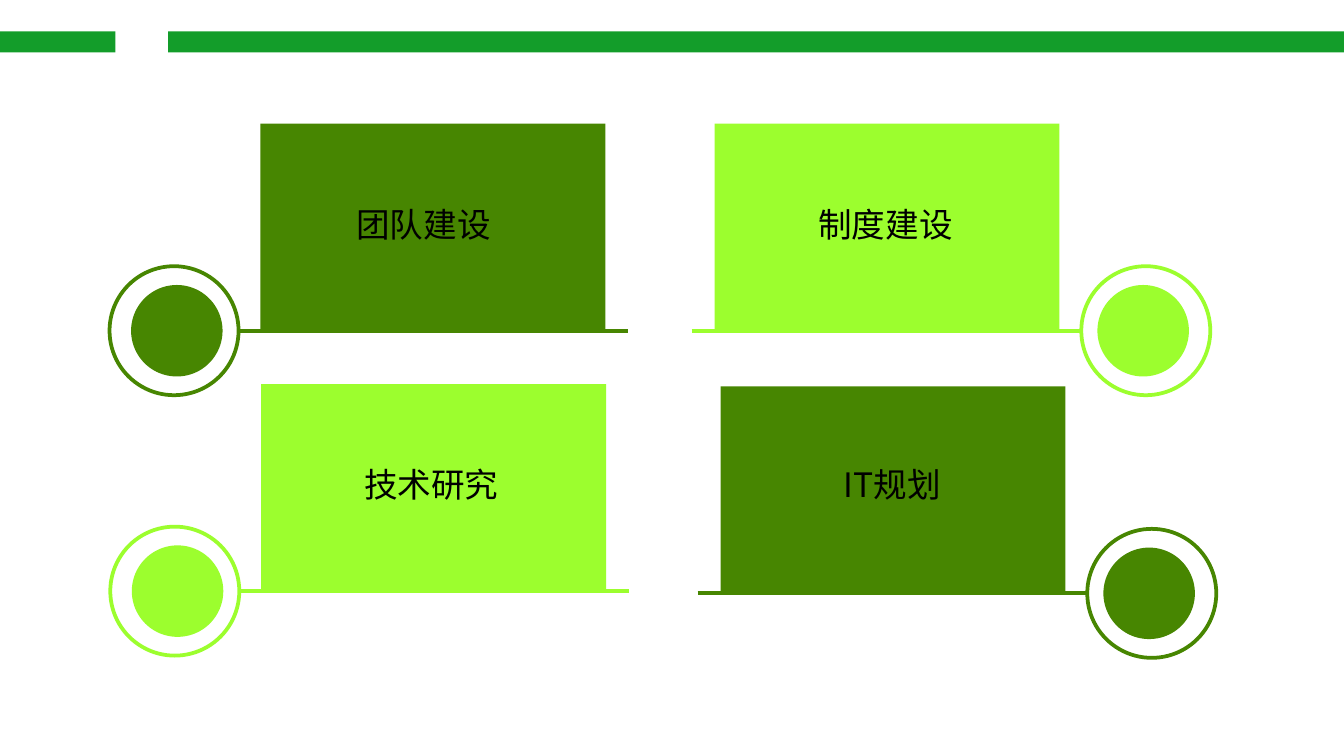
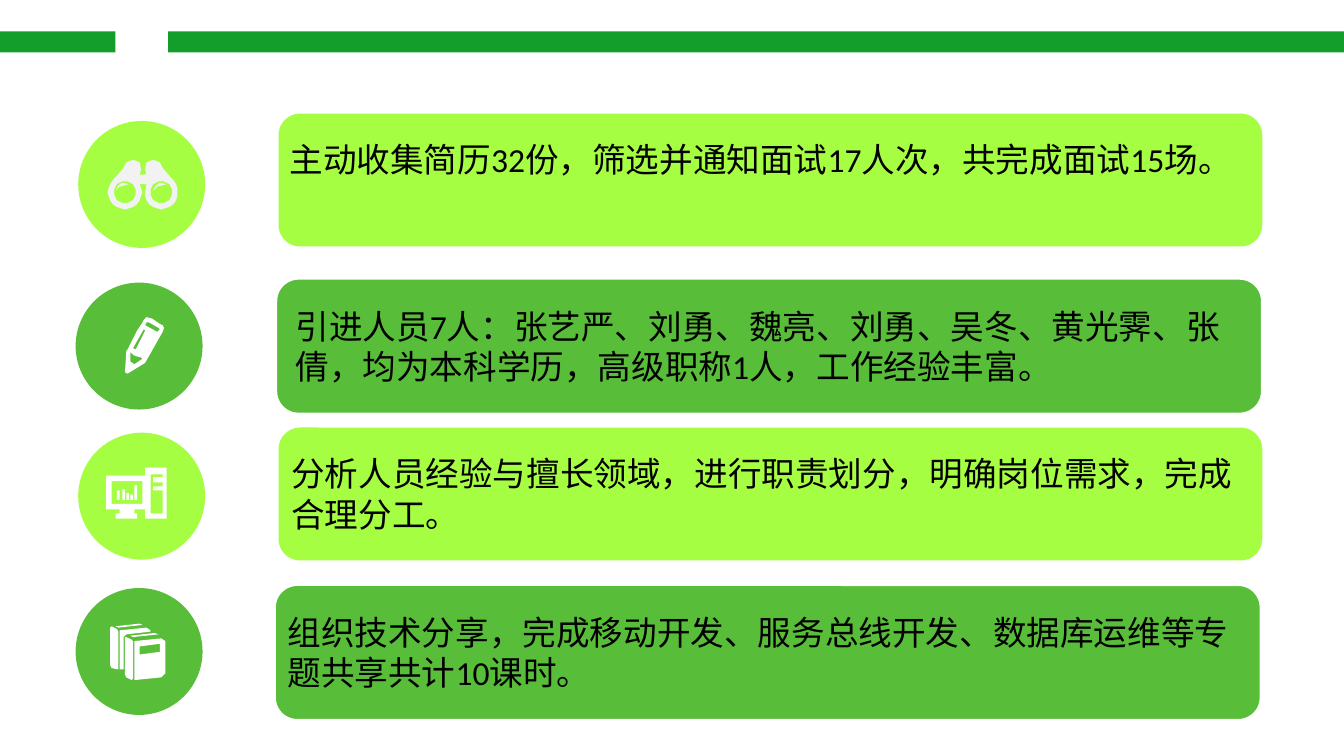
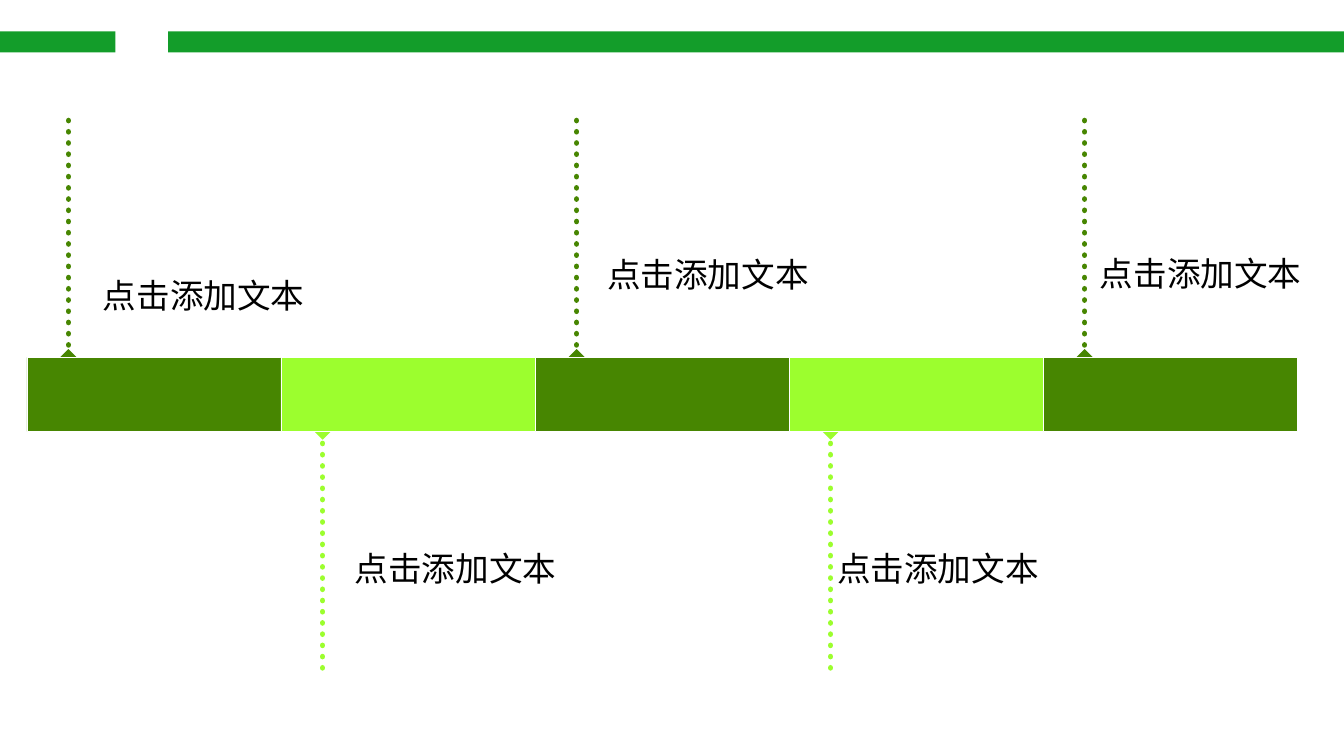
from math import cos, radians, sin

from lxml.etree import SubElement
from pptx import Presentation
from pptx.dml.color import RGBColor
from pptx.enum.dml import MSO_LINE
from pptx.enum.shapes import MSO_CONNECTOR, MSO_SHAPE as Shape
from pptx.oxml.ns import qn
from pptx.util import Pt

BAND, DARK, LIGHT = "139D2A", "478601", "9CFE2E"
LEAF, LIME = "58BD38", "A6FE42"
WHITE, MIST, BLACK = "FFFFFF", "F2F2F2", "000000"
CJK_FONT, LATIN_FONT = "Noto Sans CJK SC", "Calibri"
ICON_UNIT = Pt(0.72)


def color(code):
    return RGBColor.from_string(code)


def add_figure(page, kind, left, top, width, height, fill=None, line=None, weight=1):
    figure = page.shapes.add_shape(kind, Pt(left), Pt(top), Pt(width), Pt(height))
    paint(figure, fill, line, weight)
    return figure


def paint(figure, fill, line=None, weight=1):
    figure.shadow.inherit = False
    if fill:
        figure.fill.solid()
        figure.fill.fore_color.rgb = color(fill)
    else:
        figure.fill.background()
    if line:
        figure.line.color.rgb = color(line)
        figure.line.width = Pt(weight)
    else:
        figure.line.fill.background()


def set_opacity(figure, percent):
    fill_color = figure.element.spPr.find(qn("a:solidFill") + "/" + qn("a:srgbClr"))
    SubElement(fill_color, qn("a:alpha")).set("val", str(percent * 1000))


def add_line(page, start_x, start_y, end_x, end_y, line, weight):
    connector = page.shapes.add_connector(
        MSO_CONNECTOR.STRAIGHT, Pt(start_x), Pt(start_y), Pt(end_x), Pt(end_y))
    connector.line.color.rgb = color(line)
    connector.line.width = Pt(weight)
    SubElement(connector.element.spPr, qn("a:effectLst"))
    return connector


def add_text(page, text, left, top, width, height=28.8, font=CJK_FONT):
    box = page.shapes.add_textbox(Pt(left), Pt(top), Pt(width), Pt(height))
    box.text_frame.word_wrap = True
    box.text_frame.text = text
    span = box.text_frame.paragraphs[0].runs[0]
    span.font.size = Pt(18)
    span.font.name = font
    span.font.color.rgb = color(BLACK)
    SubElement(span.font._element, qn("a:ea")).set("typeface", CJK_FONT)


def add_icon(page, contours, fill=WHITE):
    builder = None
    for start, *points in contours:
        if builder:
            builder.move_to(*start)
        else:
            builder = page.shapes.build_freeform(*start, scale=ICON_UNIT)
        builder.add_line_segments(points, close=True)
    paint(builder.convert_to_shape(), fill)


def arc(center_x, center_y, radius, end_angle):
    return [(center_x + radius * cos(radians(angle)), center_y + radius * sin(radians(angle)))
            for angle in range(0, end_angle + 1, 15)]


def rectangle(left, top, right, bottom):
    return [(left, top), (right, top), (right, bottom), (left, bottom)]


def add_bands(deck, page):
    for left, width in ((0, 61.9), (90, 630)):
        band = add_figure(page, Shape.RECTANGLE, left, 16.8, width, 11.3, BAND)
        deck.slide_master.shapes.element.append(band.element)


def add_card(page, left, top, fill, ring_on_left):
    width, height, overhang = 184.8, 110.9, 12.3
    baseline = top + height
    add_figure(page, Shape.RECTANGLE, left, top, width, height, fill)
    add_line(page, left - overhang, baseline, left + width + overhang, baseline, fill, 2)
    for size, gap, inside, outline in ((49, 20.3, fill, None), (69.1, 11.7, None, fill)):
        circle_left = left - gap - size if ring_on_left else left + width + gap
        add_figure(page, Shape.OVAL, circle_left, baseline - size / 2, size, size,
                   inside, outline, 2)


def add_row(page, text, fill, circle_top, bar_left, bar_top, text_left):
    add_figure(page, Shape.ROUNDED_RECTANGLE, bar_left, bar_top, 528.5, 72.7, fill, WHITE, 1.5)
    if fill == LIME:
        set_opacity(add_figure(page, Shape.OVAL, 41.9, circle_top, 68, 68, LIGHT), 90)
    else:
        add_figure(page, Shape.OVAL, 40.5, circle_top, 68, 68, fill)
    add_text(page, text, text_left, bar_top + 11, 525.6, 50.9, LATIN_FONT)


def add_binoculars(page):
    def barrel(tip):
        return [(92, 125), (94, 121), (96, 120), (99, 119), (102, 120), (104, 121),
                (105, 126), (104, 130), (tip, 130), (tip, 137), (104, 137),
                *arc(93, 143, 12.5, 225), (86, 132)]

    glint = [(86, 142), (89, 139), (96, 137), (91, 136), (88, 138)]
    add_icon(page, [barrel(110), arc(93, 143, 8, 345), glint], MIST)
    add_icon(page, [[(213 - x, y) for x, y in barrel(106)], arc(120, 143, 8, 345),
                    [(x + 28, y) for x, y in glint]], MIST)


def add_pencil(page):
    add_icon(page, [
        [(108, 242), (117, 247), (119, 245), (118, 244), (111, 240), (109, 240)],
        [(107, 245), (108, 246), (101, 260), (99, 259)],
        [(97, 262), (97, 269), (100, 271), (106, 267), (105, 266), (101, 265), (99, 264)],
        [(108, 270), (95, 278), (93, 277), (94, 261), (95, 260), (102, 246), (106, 240),
         (107, 238), (109, 236), (113, 237), (119, 241), (121, 242), (122, 244), (121, 247)],
    ])


def add_computer(page):
    outline = [(79, 354), (108, 354), (108, 348), (124, 348), (124, 386), (108, 386),
               (108, 379), (100, 379), (100, 382), (102, 382), (102, 386), (86, 386),
               (86, 382), (89, 382), (89, 379), (79, 379)]
    drive = [(114, 362), (121, 362), (121, 359), (114, 359), (114, 355), (121, 355),
             (121, 353), (112, 353), (112, 382), (121, 382), (121, 365), (114, 365)]
    bars = [rectangle(left, top, left + 2, 372)
            for left, top in ((87, 365), (91, 364), (94, 367), (97, 368), (100, 361))]
    add_icon(page, [outline, drive, rectangle(83, 358, 106, 375), *bars])


def add_books(page):
    add_icon(page, [
        [(89, 469), (109, 467), (112, 469), (112, 470), (94, 472), (92, 474), (92, 498), (89, 498)],
        [(104, 481), (104, 487), (119, 485), (119, 479)],
        [(100, 477), (100, 506), (120, 504), (123, 501), (123, 477), (120, 475)],
        [(94, 474), (93, 474), (93, 502), (94, 504), (98, 506), (99, 505), (99, 477), (98, 476)],
        [(97, 473), (99, 474), (118, 472), (115, 471)],
        [(83, 466), (87, 468), (88, 470), (88, 498), (87, 498), (83, 497), (82, 495), (82, 467)],
        [(86, 466), (88, 467), (106, 465), (104, 464)],
    ])


def add_spoke(page, x, start_y, end_y, line):
    spoke = add_line(page, x, start_y, x, end_y, line, 3)
    spoke.line.dash_style = MSO_LINE.ROUND_DOT
    outline = spoke.get_or_add_ln()
    outline.set("cap", "rnd")
    SubElement(outline, qn("a:tailEnd")).set("type", "diamond")


def build_areas(page):
    add_card(page, 139.5, 66.3, DARK, True)
    add_card(page, 139.9, 205.8, LIGHT, True)
    add_card(page, 386, 207, DARK, False)
    add_card(page, 382.8, 66.3, LIGHT, False)
    for text, left, top, width in (
            ("技术研究", 188, 244.8, 87), ("团队建设", 183.8, 105.8, 95.8),
            ("IT规划", 444.8, 244.8, 67), ("制度建设", 431.3, 105.8, 87)):
        add_text(page, text, left, top, width)


def build_team(page):
    rows = (
        ("主动收集简历32份，筛选并通知面试17人次，共完成面试15场。",
         LIME, 64.8, 148.5, 60.1, 148),
        ("引进人员7人：张艺严、刘勇、魏亮、刘勇、吴冬、黄光霁、张倩，均为本科学历，"
         "高级职称1人，工作经验丰富。", LEAF, 151.4, 147.8, 149.1, 151.2),
        ("分析人员经验与擅长领域，进行职责划分，明确岗位需求，完成合理分工。",
         LIME, 231.8, 148.5, 228.3, 149),
        ("组织技术分享，完成移动开发、服务总线开发、数据库运维等专题共享共计10课时。",
         LEAF, 315, 147.1, 313.2, 147),
    )
    for row in rows:
        add_row(page, *row)
    for draw in (add_binoculars, add_pencil, add_computer, add_books):
        draw(page)


def build_timeline(page):
    left, top, width, height = 14.4, 191.5, 136.1, 39.6
    labels = ((48, 144), (182.9, 290.2), (318.2, 132.5), (441.4, 290.2), (582.1, 132))
    for index, (label_left, label_top) in enumerate(labels):
        upward = index % 2 == 0
        fill = DARK if upward else LIGHT
        segment_left = left + index * width
        start_y, end_y = (64.6, top) if upward else (357.8, top + height)
        add_spoke(page, segment_left + 22.3, start_y, end_y, fill)
        add_figure(page, Shape.RECTANGLE, segment_left, top, width, height, fill, WHITE, 0.25)
        add_text(page, "点击添加文本", label_left, label_top, 123.8)


def main():
    deck = Presentation()
    deck.slide_width, deck.slide_height = Pt(720), Pt(405)
    blank = deck.slide_layouts[6]
    areas, team, timeline = [deck.slides.add_slide(blank) for _ in range(3)]
    add_bands(deck, areas)
    build_areas(areas)
    build_team(team)
    build_timeline(timeline)
    deck.save("out.pptx")


if __name__ == "__main__":
    main()
